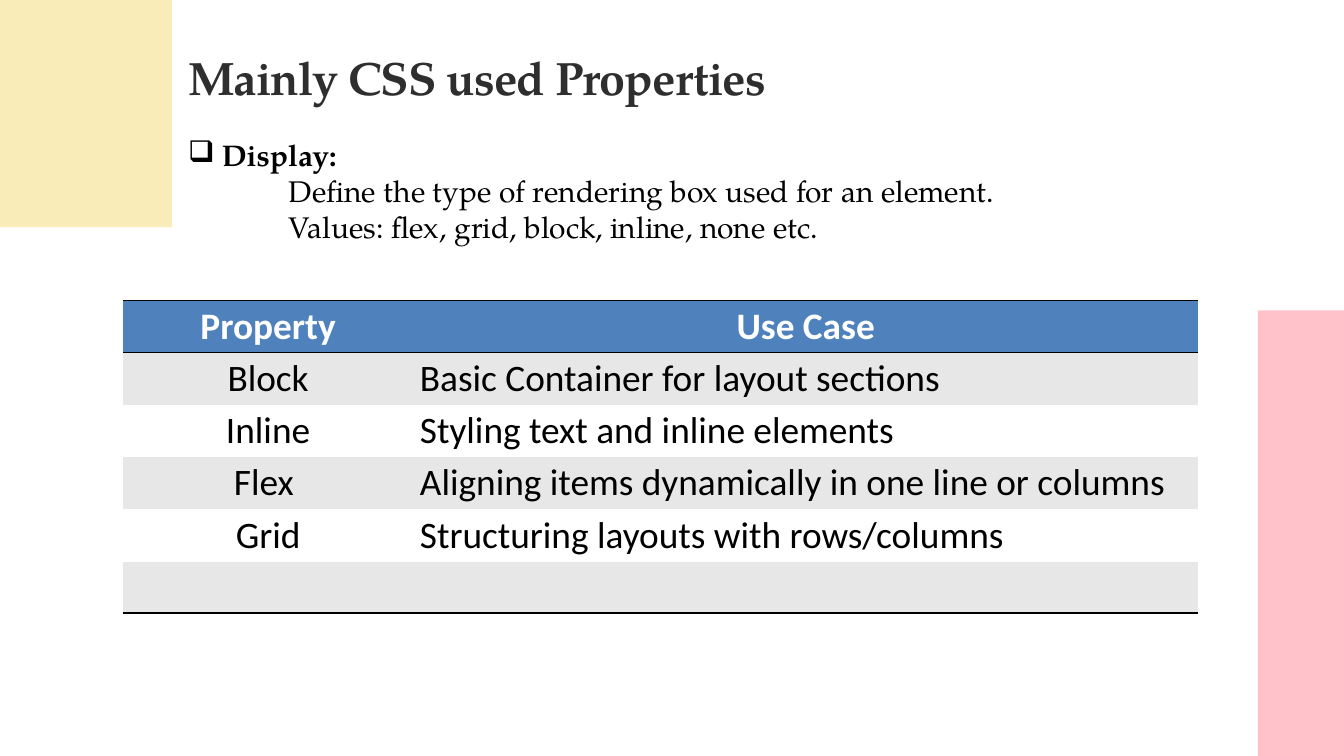
from lxml.etree import SubElement
from pptx import Presentation
from pptx.dml.color import RGBColor
from pptx.enum.shapes import MSO_SHAPE
from pptx.enum.text import MSO_ANCHOR, MSO_AUTO_SIZE, PP_ALIGN
from pptx.oxml.ns import qn
from pptx.util import Pt

EMU_PER_PX = 9144  # 100 px to the inch
SERIF, SANS = "TeX Gyre Pagella", "Calibri"
BLACK, WHITE, GREY, BLUE = "000000", "FFFFFF", "E7E7E7", "4F81BD"
NO_TABLE_STYLE = "{2D5ABB26-0587-4C30-8999-92F81FD0307C}"

INTRO = [
    "Define the type of rendering box used for an element.",
    "Values: flex, grid, block, inline, none etc.",
]
ROWS = [
    ("Property", "Use Case"),
    ("Block", "Basic Container for layout sections"),
    ("Inline", "Styling text and inline elements"),
    ("Flex ", "Aligning items dynamically in one line or columns"),
    ("Grid", "Structuring layouts with rows/columns"),
    ("", ""),
]


def px(length):
    return length * EMU_PER_PX


def color(hex_string):
    return RGBColor.from_string(hex_string)


def add_run(paragraph, text, font, size, hex_string, bold=False):
    run = paragraph.add_run()
    run.text = text
    run.font.name = font
    run.font.size = Pt(size)
    run.font.bold = bold
    run.font.color.rgb = color(hex_string)
    return run


def prepare_frame(shape):
    """Wrapped, top-anchored text without insets."""
    frame = shape.text_frame
    frame.word_wrap = True
    frame.auto_size = MSO_AUTO_SIZE.NONE
    frame.vertical_anchor = MSO_ANCHOR.TOP
    frame.margin_left = frame.margin_right = 0
    frame.margin_top = frame.margin_bottom = 0
    return frame


def add_block(slide, left, top, width, height, fill):
    shape = slide.shapes.add_shape(
        MSO_SHAPE.RECTANGLE, px(left), px(top), px(width), px(height))
    shape.shadow.inherit = False
    shape.fill.solid()
    shape.fill.fore_color.rgb = color(fill)
    shape.line.fill.background()


def place_title(slide, left, top, width, height, text):
    title = slide.shapes.title
    title.left, title.top = px(left), px(top)
    title.width, title.height = px(width), px(height)
    paragraph = prepare_frame(title).paragraphs[0]
    paragraph.alignment = PP_ALIGN.LEFT
    paragraph.line_spacing = Pt(70)
    run = add_run(paragraph, text, SERIF, 50, "2E2E2E", bold=True)
    run.font._element.set("spc", "-100")


def set_indent(paragraph, margin, first_line=0, bullet=None):
    properties = paragraph._p.get_or_add_pPr()
    properties.set("marL", str(px(margin)))
    properties.set("indent", str(px(first_line)))
    if bullet:
        SubElement(properties, qn("a:buChar")).set("char", bullet)


def add_intro(slide, left, top, width, height):
    box = slide.shapes.add_textbox(px(left), px(top), px(width), px(height))
    frame = prepare_frame(box)
    heading = frame.paragraphs[0]
    heading.alignment = PP_ALIGN.JUSTIFY
    set_indent(heading, 50, -50, "❑")
    add_run(heading, "Display: ", SERIF, 32, BLACK, bold=True)
    for text in INTRO:
        paragraph = frame.add_paragraph()
        paragraph.alignment = PP_ALIGN.JUSTIFY
        set_indent(paragraph, 150)
        add_run(paragraph, text, SERIF, 32, BLACK)


def add_border(cell, side):
    line = SubElement(cell._tc.get_or_add_tcPr(), qn(f"a:{side}"), w=str(Pt(2)))
    fill = SubElement(line, qn("a:solidFill"))
    SubElement(fill, qn("a:srgbClr")).set("val", BLACK)


def format_cell(cell, text, row, column):
    header = row == 0
    sides = {0: ("lnT", "lnB"), len(ROWS) - 1: ("lnB",)}
    for side in sides.get(row, ()):
        add_border(cell, side)
    cell.fill.solid()
    cell.fill.fore_color.rgb = color(BLUE if header else GREY if row % 2 else WHITE)
    paragraph = cell.text_frame.paragraphs[0]
    centred = header or column == 0
    paragraph.alignment = PP_ALIGN.CENTER if centred else PP_ALIGN.LEFT
    if text:
        add_run(paragraph, text, SANS, 40, WHITE if header else BLACK, bold=header)


def add_property_table(slide, left, top, width, height):
    frame = slide.shapes.add_table(
        len(ROWS), 2, px(left), px(top), px(width), px(height))
    table = frame.table
    table._tbl.tblPr.find(qn("a:tableStyleId")).text = NO_TABLE_STYLE
    table.horz_banding = False
    table.columns[0].width = px(432)
    table.columns[1].width = px(width - 432)
    for row, texts in enumerate(ROWS):
        for column, text in enumerate(texts):
            format_cell(table.cell(row, column), text, row, column)


def main():
    presentation = Presentation()
    presentation.slide_width, presentation.slide_height = px(2000), px(1125)
    slide = presentation.slides.add_slide(presentation.slide_layouts[5])
    add_block(slide, 0, 0, 256, 338, "F9ECB8")
    add_block(slide, 1872, 462, 128, 663, "FFC2CA")
    place_title(slide, 280, 59, 991, 92, "Mainly CSS used Properties")
    add_intro(slide, 280, 204, 1441, 269)
    add_property_table(slide, 183, 447, 1600, 460)
    presentation.save("out.pptx")


if __name__ == "__main__":
    main()
